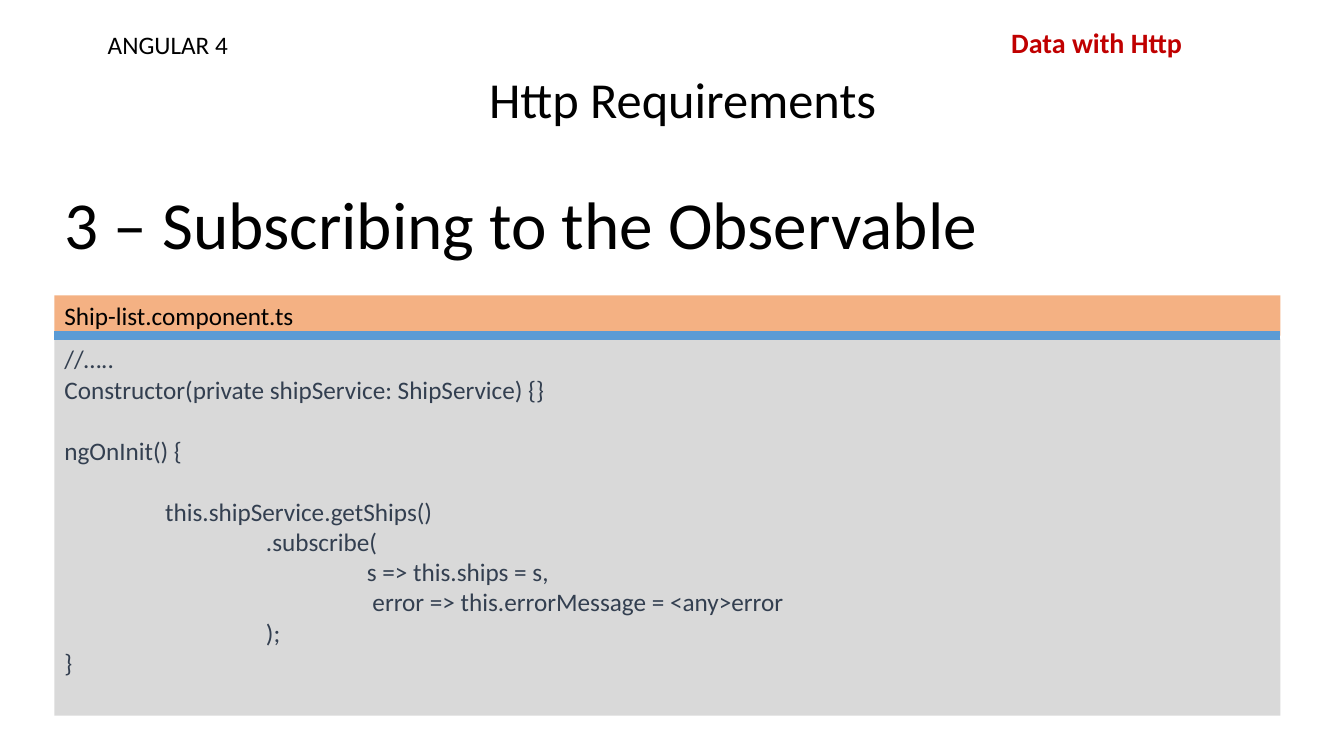
from lxml import etree
from pptx import Presentation
from pptx.dml.color import RGBColor
from pptx.enum import shapes, text
from pptx.oxml.ns import qn
from pptx.util import Inches, Pt


def color(value):
    return RGBColor.from_string(value)


def write(shape, lines, size, ink="000000", bold=False, wrap=True):
    """Fill a shape with (indent in inches, space before in points, wording) lines."""
    frame = shape.text_frame
    frame.word_wrap = wrap
    frame.auto_size = text.MSO_AUTO_SIZE.NONE
    frame.vertical_anchor = text.MSO_ANCHOR.TOP
    for number, (indent, gap, wording) in enumerate(lines):
        para = frame.add_paragraph() if number else frame.paragraphs[0]
        para.text = wording
        para.alignment = text.PP_ALIGN.LEFT
        para.space_before = Pt(gap)
        para._p.get_or_add_pPr().set("marL", str(Inches(indent)))
        font = para.runs[0].font
        font.name, font.size, font.bold = "Calibri", Pt(size), bold
        font.color.rgb = color(ink)


deck = Presentation()
deck.slide_width, deck.slide_height = Inches(13.33), Inches(7.5)
page = deck.slides.add_slide(deck.slide_layouts[5])

# Title
title = page.shapes.title
title.left, title.top = Inches(4.75), Inches(0.63)
title.width, title.height = Inches(4.19), Inches(0.71)
write(title, [(0, 0, "Http Requirements")], 36)

# Course, topic and step headings
headings = [
    (0.97, 0.24, 1.4, 0.4, "ANGULAR 4", 18, "000000", False, True),
    (9.93, 0.2, 1.91, 0.44, "Data with Http", 20, "C00000", True, False),
    (0.54, 1.76, 9.38, 0.91, "3 – Subscribing to the Observable", 48, "000000", False, True),
]
for left, top, width, height, wording, size, ink, bold, wrap in headings:
    box = page.shapes.add_textbox(Inches(left), Inches(top), Inches(width), Inches(height))
    write(box, [(0, 0, wording)], size, ink, bold, wrap)

# Code panel: file name bar, then listing
blank = 22  # height of one empty code line, in points
code = [
    (0, 0, "//….."),
    (0, 0, "Constructor(private shipService: ShipService) {}"),
    (0, blank, "ngOnInit() {"),
    (1, blank, "this.shipService.getShips()"),
    (2, 0, ".subscribe("),
    (3, 0, "s => this.ships = s,"),
    (3, 0, " error => this.errorMessage = <any>error"),
    (2, 0, ");"),
    (0, 0, "}"),
]
panel_left, panel_width = 0.54, 12.16
panels = [
    (2.93, 0.4, "F4B183", "000000", [(0, 0, "Ship-list.component.ts")]),
    (3.36, 3.74, "D9D9D9", "333F50", code),
]
for top, height, fill, ink, lines in panels:
    panel = page.shapes.add_shape(
        shapes.MSO_SHAPE.RECTANGLE,
        Inches(panel_left), Inches(top), Inches(panel_width), Inches(height))
    panel.shadow.inherit = False
    panel.fill.solid()
    panel.fill.fore_color.rgb = color(fill)
    panel.line.fill.background()
    write(panel, lines, 18, ink)

# Divider under the file name
divider = page.shapes.add_connector(
    shapes.MSO_CONNECTOR.STRAIGHT,
    Inches(panel_left), Inches(3.33), Inches(panel_left + panel_width), Inches(3.33))
divider.line.color.rgb = color("5B9BD5")
divider.line.width = Pt(6)
etree.SubElement(divider._element.spPr, qn("a:effectLst"))

deck.save("out.pptx")
